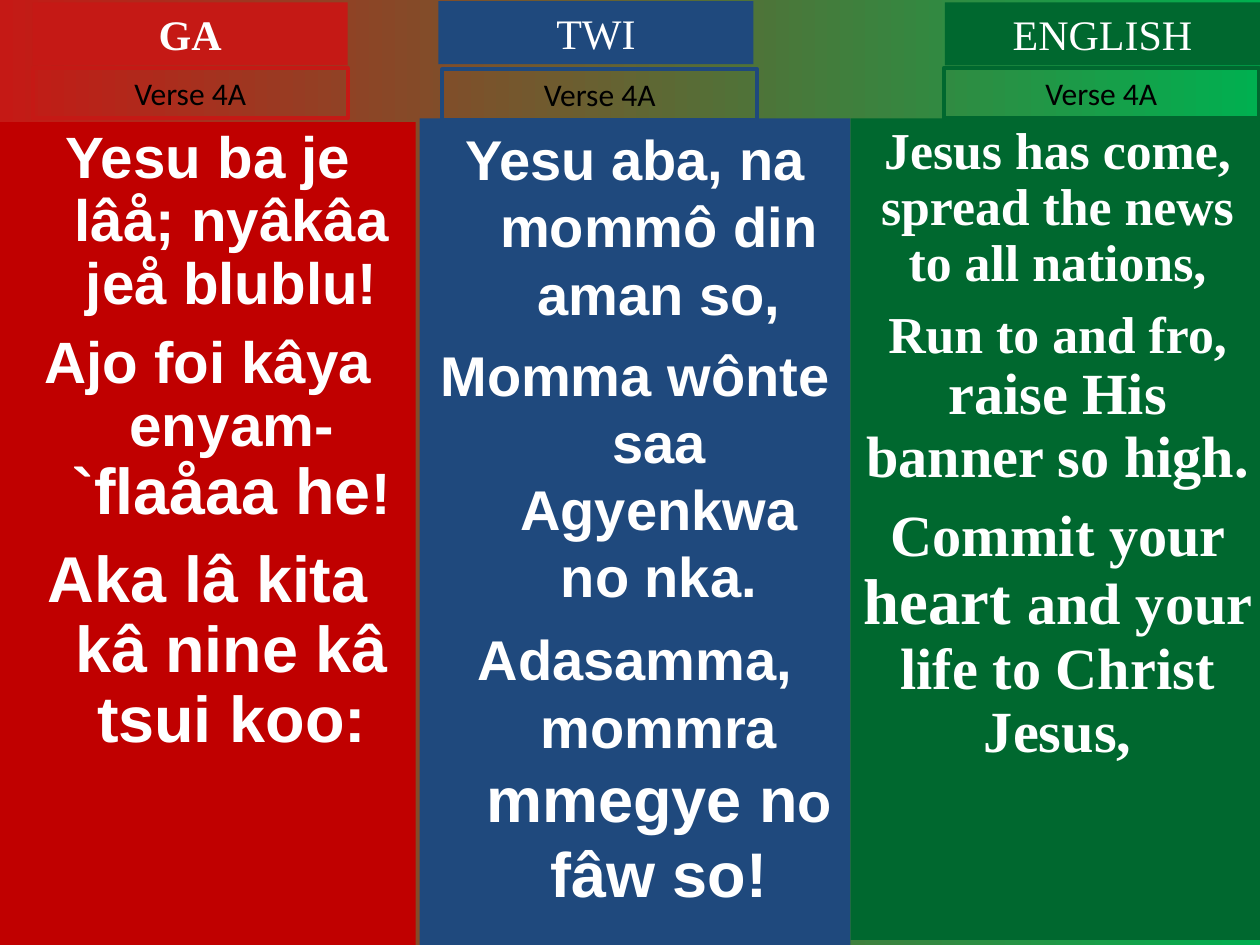
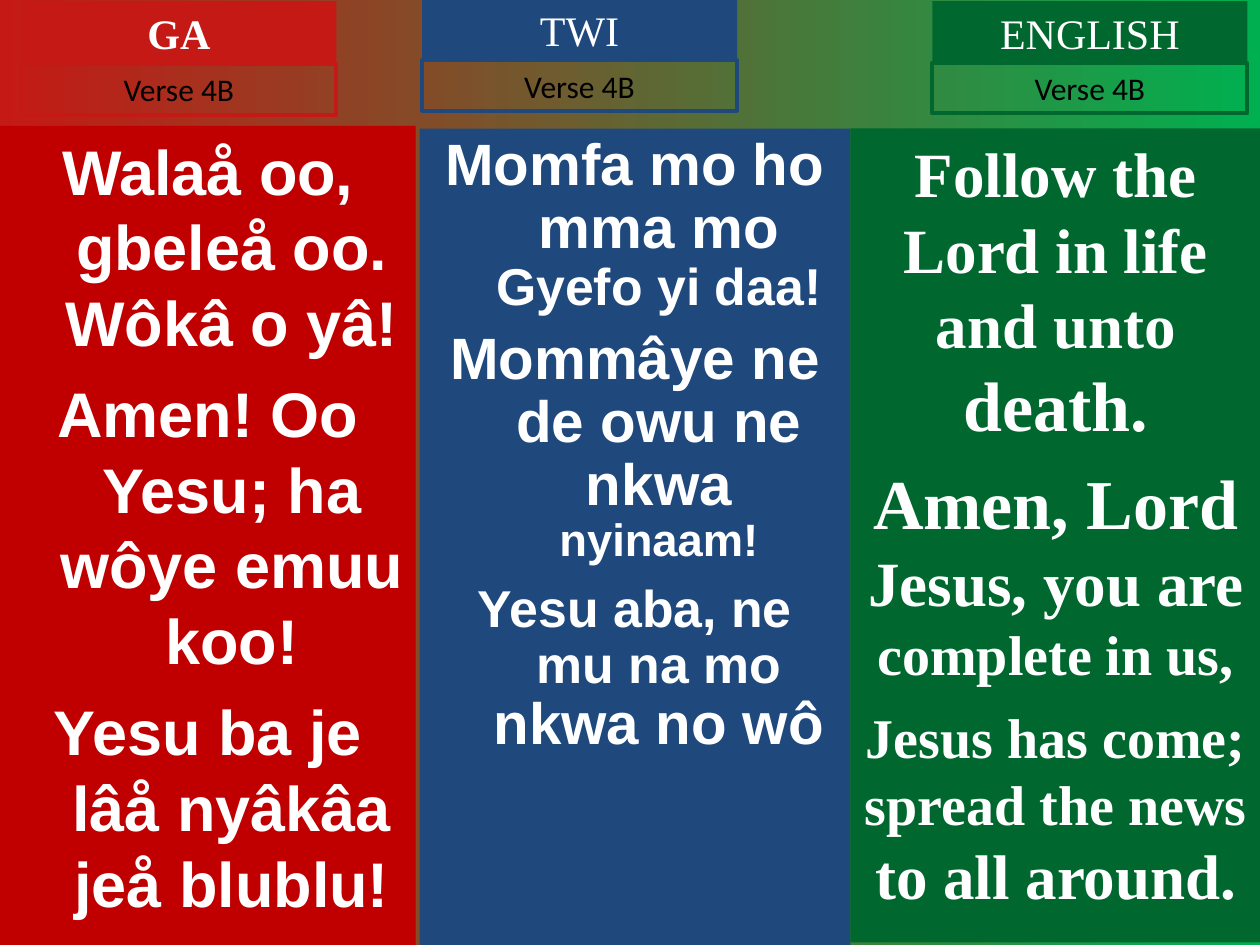
from dataclasses import dataclass

from pptx import Presentation
from pptx.dml.color import RGBColor
from pptx.enum.shapes import MSO_SHAPE as Preset
from pptx.enum.text import MSO_ANCHOR as Anchor, MSO_AUTO_SIZE as AutoSize, PP_ALIGN as Align
from pptx.util import Inches, Pt


@dataclass(frozen=True)
class Theme:
    """Colours, fonts and type sizes of the hymn slides."""
    backdrop: tuple = ("C51915", "00B050")
    light: str = "FFFFFF"
    dark: str = "000000"
    serif: str = "Times New Roman"
    sans: str = "Arial"
    verse_font: str = "Calibri"
    name_size: float = 24
    verse_size: float = 18
    border: float = 2.25
    tag_width: float = 2.5
    name_height: float = 0.5
    verse_height: float = 0.4
    hanging: float = 0.38


@dataclass(frozen=True)
class Language:
    """What one language column keeps on every slide."""
    name: str
    panel_colour: str
    tag_colour: str
    font: str
    left: float
    hanging: float = 0
    bold_name: bool = False


@dataclass(frozen=True)
class Column:
    """Placing and lyrics of one column; each line is (space before, *(text, size))."""
    panel: tuple        # top, width, height
    name_at: tuple      # left, top
    verse_at: tuple     # left, top
    spacing: float
    lines: tuple


THEME = Theme()
LANGUAGES = (
    Language("GA", "C00000", "C51915", THEME.sans, 0, THEME.hanging, True),
    Language("TWI", "1F497D", "1F497D", THEME.sans, 3.33, THEME.hanging),
    Language("ENGLISH", "00682F", "00682F", THEME.serif, 6.75),
)

VERSES = {
    "Verse 4A": (
        Column((0.97, 3.3, 6.53), (0.26, 0.02), (0.26, 0.54), 0.9, (
            (0, ("Yesu ba je lâå; nyâkâa jeå blublu!", 33.3)),
            (9, ("Ajo foi kâya enyam-", 33.3), ("`flaåaa he", 37), ("!", 33.3)),
            (10, ("Aka lâ kita kâ nine kâ tsui koo:", 37)),
        )),
        Column((0.94, 3.42, 6.56), (3.48, 0.01), (3.51, 0.55), 1.0, (
            (0, ("Yesu aba, na mommô din aman so,", 32)),
            (8, ("Momma wônte saa Agyenkwa no nka.", 32)),
            (9, ("Adasamma, mommra ", 32), ("mmegye n", 36), ("o ", 32), ("fâw so!", 36)),
        )),
        Column((0.94, 3.29, 6.52), (7.5, 0.02), (7.49, 0.54), 0.9, (
            (0, ("Jesus has come, spread the news to all nations,", 29.6)),
            (9, ("Run to and fro, ", 29.6), ("raise His banner so high.", 33.3)),
            (9, ("Commit your ", 33.3), ("heart ", 37),
             ("and your life to Christ Jesus,", 33.3)),
        )),
    ),
    "Verse 4B": (
        Column((1, 3.3, 6.5), (0.17, 0.01), (0.17, 0.51), 1.0, (
            (0, ("Walaå oo, gbeleå oo. Wôkâ o yâ!", 36)),
            (9, ("Amen! Oo Yesu; ha wôye emuu koo!", 36)),
            (9, ("Yesu ba je lâå nyâkâa jeå blublu!", 36)),
        )),
        Column((1.02, 3.42, 6.48), (3.35, -0.01), (3.35, 0.48), 0.9, (
            (0, ("Momfa mo ho mma mo ", 33.3), ("Gyefo yi daa!", 29.6)),
            (7, ("Mommâye ne de owu ne nkwa ", 33.3), ("nyinaam!", 25.9)),
            (9, ("Yesu aba, ne mu na mo ", 29.6), ("nkwa no wô", 33.3)),
        )),
        Column((1.02, 3.26, 6.46), (7.4, 0.01), (7.4, 0.5), 1.0, (
            (0, ("Follow the Lord in life and unto ", 36), ("death.", 40)),
            (8, ("Amen, Lord ", 40), ("Jesus, you are ", 36), ("complete in us,", 32)),
            (9, ("Jesus has come; spread the news ", 32), ("to all around.", 36)),
        )),
    ),
}


class HymnDeck:
    def __init__(self, theme):
        self.theme = theme
        self.deck = Presentation()
        self.deck.slide_width, self.deck.slide_height = Inches(10), Inches(7.5)
        self.slide = None

    def new_slide(self):
        self.slide = self.deck.slides.add_slide(self.deck.slide_layouts[6])
        backdrop = self.slide.background.fill
        backdrop.gradient()
        backdrop.gradient_angle = 0
        for stop, colour in zip(backdrop.gradient_stops, self.theme.backdrop):
            stop.color.rgb = RGBColor.from_string(colour)

    def box(self, left, top, width, height, fill=None, border=None):
        box = self.slide.shapes.add_shape(
            Preset.RECTANGLE, Inches(left), Inches(top), Inches(width), Inches(height))
        box.shadow.inherit = False
        if fill:
            box.fill.solid()
            box.fill.fore_color.rgb = RGBColor.from_string(fill)
        else:
            box.fill.background()
        if border:
            box.line.color.rgb = RGBColor.from_string(border)
            box.line.width = Pt(self.theme.border)
        else:
            box.line.fill.background()
        frame = box.text_frame
        frame.word_wrap = True
        frame.vertical_anchor = Anchor.TOP
        return frame

    def style(self, font, name, size, colour, bold=False):
        font.name, font.size, font.bold = name, Pt(size), bold
        font.color.rgb = RGBColor.from_string(colour)

    def tag(self, frame, text, *look):
        frame.auto_size = AutoSize.SHAPE_TO_FIT_TEXT
        frame.text = text
        line = frame.paragraphs[0]
        line.alignment = Align.CENTER
        self.style(line.runs[0].font, *look)

    def name_tag(self, language, column):
        theme = self.theme
        frame = self.box(*column.name_at, theme.tag_width, theme.name_height,
                         fill=language.tag_colour)
        self.tag(frame, language.name, theme.serif, theme.name_size, theme.light,
                 language.bold_name)

    def verse_tag(self, verse, language, column):
        theme = self.theme
        frame = self.box(*column.verse_at, theme.tag_width, theme.verse_height,
                         border=language.tag_colour)
        self.tag(frame, verse, theme.verse_font, theme.verse_size, theme.dark)

    def lyrics(self, language, column):
        frame = self.box(language.left, *column.panel, fill=language.panel_colour)
        for number, (space, *phrases) in enumerate(column.lines):
            line = frame.add_paragraph() if number else frame.paragraphs[0]
            line.alignment = Align.CENTER
            line.line_spacing = column.spacing
            line.space_before = Pt(space)
            if language.hanging:
                # A hanging indent has no public setter
                indent = Inches(language.hanging)
                properties = line._p.get_or_add_pPr()
                properties.set("marL", str(indent))
                properties.set("indent", str(-indent))
            for text, size in phrases:
                phrase = line.add_run()
                phrase.text = text
                self.style(phrase.font, language.font, size, self.theme.light, True)


def main():
    hymn = HymnDeck(THEME)
    for verse, columns in VERSES.items():
        hymn.new_slide()
        for language, column in zip(LANGUAGES, columns):
            hymn.lyrics(language, column)
            hymn.name_tag(language, column)
            hymn.verse_tag(verse, language, column)
    hymn.deck.save("out.pptx")


if __name__ == "__main__":
    main()
